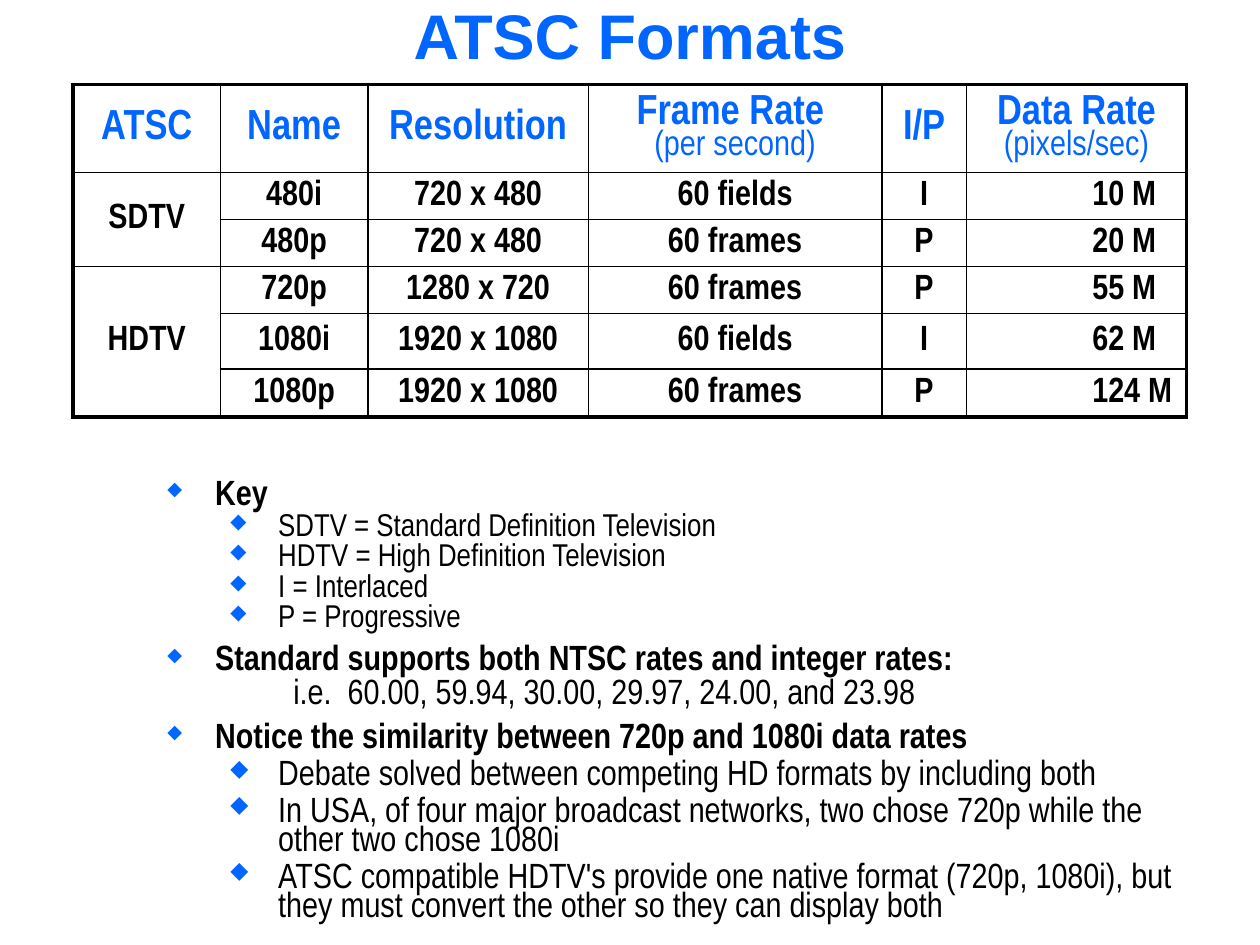
from lxml import etree
from pptx import Presentation
from pptx.dml.color import RGBColor
from pptx.enum.text import MSO_ANCHOR as Anchor, MSO_AUTO_SIZE as AutoSize, PP_ALIGN as Align
from pptx.oxml.ns import qn
from pptx.util import Inches, Pt

BLUE, BLACK = "0066FF", "000000"
NARROW = "Arial Narrow"


def add_runs(para, runs, color, font=NARROW):
    """Add (text, size, bold) runs; a newline ends a line, a leading tab stops at one inch."""
    for text, size, bold in runs:
        span = para.add_run()
        span.text = text.rstrip("\n")
        span.font.name = font
        span.font.size = Pt(size)
        span.font.bold = bold
        span.font.color.rgb = RGBColor.from_string(color)
        if text.endswith("\n"):
            para.add_line_break()
        if text.startswith("\t"):
            tabs = etree.SubElement(para._p.get_or_add_pPr(), qn("a:tabLst"))
            etree.SubElement(tabs, qn("a:tab"), pos=str(Inches(1)), algn="l")


def set_borders(cell, widths):
    """Draw black lines on the left, right, top and bottom, in that order."""
    props = cell._tc.get_or_add_tcPr()
    for side, width in zip("LRTB", widths):
        line = etree.SubElement(props, qn(f"a:ln{side}"), w=str(Pt(width)))
        fill = etree.SubElement(line, qn("a:solidFill"))
        etree.SubElement(fill, qn("a:srgbClr"), val=BLACK)


deck = Presentation()
deck.slide_width, deck.slide_height = Inches(10), Inches(7.5)
page = deck.slides.add_slide(deck.slide_layouts[6])

# Title
title = page.shapes.add_textbox(Inches(0), Inches(0.06), Inches(10), Inches(0.67)).text_frame
title.word_wrap = True
title.vertical_anchor = Anchor.TOP
title.margin_left = title.margin_right = Inches(0.05)
para = title.paragraphs[0]
para.alignment = Align.CENTER
para.line_spacing = 0.75
add_runs(para, [("ATSC Formats", 36, True)], BLUE, "Arial")

# Format table: each header cell is a list of paragraphs, each a list of runs
headers = [
    [[("ATSC", 24, True)]],
    [[("Name", 24, True)]],
    [[("Resolution", 24, True)]],
    [[("Frame Rate \n", 24, True), ("(per second)", 20, False)]],
    [[("I/P", 24, True)]],
    [[("Data Rate", 24, True)], [("(pixels/sec)", 20, False)]],
]
formats = [
    ("SDTV", "480i", "720 x 480", "60 fields", "I", "\t10 M"),
    ("", "480p", "720 x 480", "60 frames", "P", "\t20 M"),
    ("HDTV", "720p", "1280 x 720", "60 frames", "P", "\t55 M"),
    ("", "1080i", "1920 x 1080", "60 fields", "I", "\t62 M"),
    ("", "1080p", "1920 x 1080", "60 frames", "P", "\t124 M"),
]
rows = [headers] + [[[[(text, 20, True)]] if text else [] for text in row] for row in formats]
column_widths = [1.17, 1.17, 1.75, 2.33, 0.67, 1.75]
row_heights = [0.62, 0.36, 0.36, 0.36, 0.44, 0.38]
merged_rows = [(1, 2), (3, 5)]
last_row, last_column = len(rows) - 1, len(headers) - 1

table = page.shapes.add_table(len(rows), len(headers), Inches(0.58), Inches(0.67),
                              Inches(sum(column_widths)), Inches(sum(row_heights))).table
table.first_row = table.horz_banding = False
for column, width in zip(table.columns, column_widths):
    column.width = Inches(width)
for row, height in zip(table.rows, row_heights):
    row.height = Inches(height)

for r, row in enumerate(rows):
    for c, paragraphs in enumerate(row):
        cell = table.cell(r, c)
        cell.vertical_anchor = Anchor.MIDDLE
        cell.margin_left = cell.margin_right = 0
        cell.margin_top = cell.margin_bottom = Inches(0.02)
        bottom_row = dict(merged_rows).get(r, r) if c == 0 else r
        outer = (c == 0, c == last_column, r == 0, bottom_row == last_row)
        set_borders(cell, [2.25 if edge else 1 for edge in outer])
        cell.fill.background()
        for i, runs in enumerate(paragraphs):
            para = cell.text_frame.paragraphs[0] if i == 0 else cell.text_frame.add_paragraph()
            add_runs(para, runs, BLUE if r == 0 else BLACK)
            if r == 0:
                para.line_spacing = 0.9
            para.alignment = Align.LEFT if r > 0 and c == last_column else Align.CENTER

for first, last in merged_rows:
    table.cell(first, 0).merge(table.cell(last, 0))

# Notes: level, line spacing, space before, runs
notes = [
    (0, 0.8, 6, [("Key", 20, True)]),
    (1, 0.8, 0, [("SDTV = Standard Definition Television", 18, False)]),
    (1, 0.8, 0, [("HDTV = High Definition Television", 18, False)]),
    (1, 0.8, 0, [("I = Interlaced", 18, False)]),
    (1, 0.8, 0, [("P = Progressive", 18, False)]),
    (0, 0.8, 6, [("Standard supports both NTSC rates and integer rates:\n", 20, True),
                 ("\ti.e.  60.00, 59.94, 30.00, 29.97, 24.00, and 23.98", 20, False)]),
    (0, 0.8, 6, [("Notice the similarity between 720p and 1080i data rates", 20, True)]),
    (1, 0.7, 4, [("Debate solved between competing HD formats by including both", 20, False)]),
    (1, 0.7, 4, [("In USA, of four major broadcast networks, two chose 720p while the "
                  "other two chose 1080i", 20, False)]),
    (1, 0.7, 4, [("ATSC compatible HDTV's provide one native format (720p, 1080i), but "
                  "they must convert the other so they can display both", 20, False)]),
]
bullet_sizes = ["55000", "67000"]
box = page.shapes.add_textbox(Inches(1.23), Inches(3.75), Inches(8.18), Inches(3.69)).text_frame
box.word_wrap = True
box.auto_size = AutoSize.SHAPE_TO_FIT_TEXT
for i, (level, spacing, before, runs) in enumerate(notes):
    para = box.paragraphs[0] if i == 0 else box.add_paragraph()
    para.level = level
    props = para._p.get_or_add_pPr()
    props.set("marL", str(Inches(0.38 + 0.5 * level)))
    props.set("indent", str(Inches(-0.38)))
    para.line_spacing = spacing
    para.space_before = Pt(before)
    bullet_color = etree.SubElement(props, qn("a:buClr"))
    etree.SubElement(bullet_color, qn("a:srgbClr"), val=BLUE)
    etree.SubElement(props, qn("a:buSzPct"), val=bullet_sizes[level])
    etree.SubElement(props, qn("a:buChar"), char="◆")
    add_runs(para, runs, BLACK)

deck.save("out.pptx")
